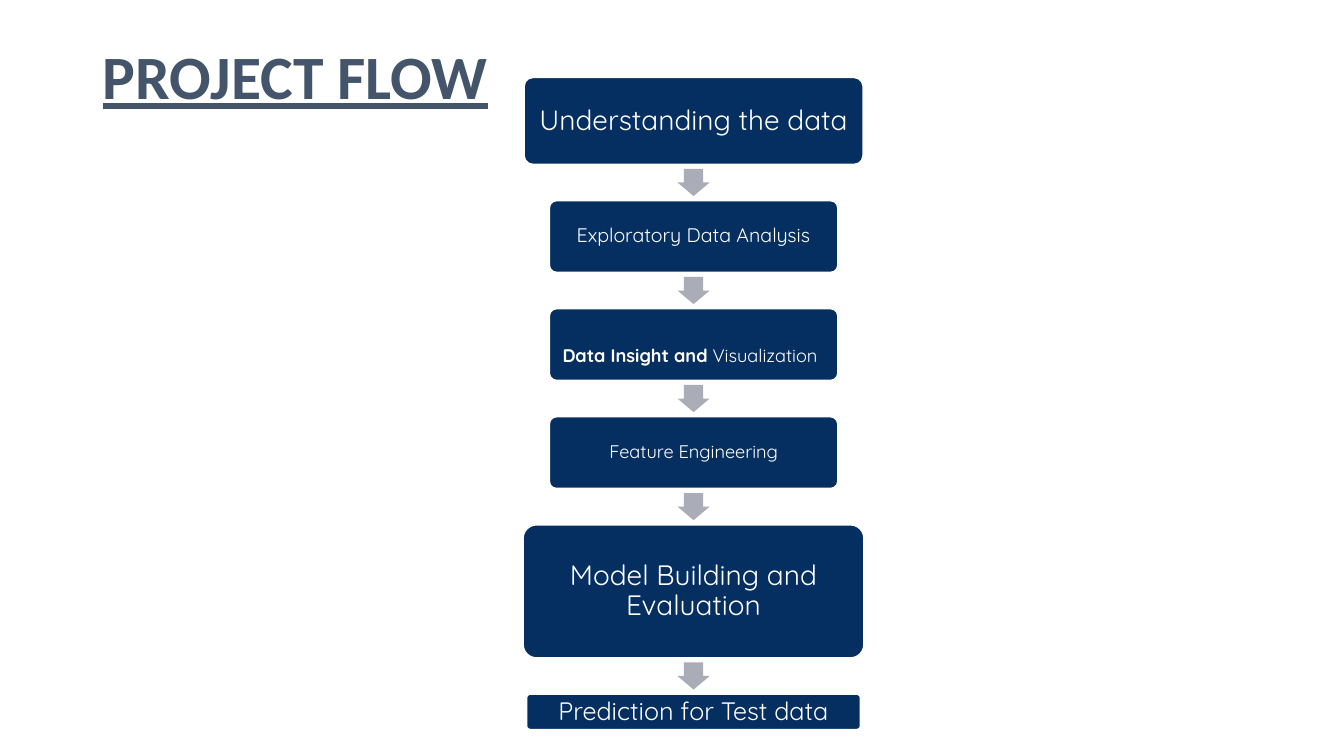
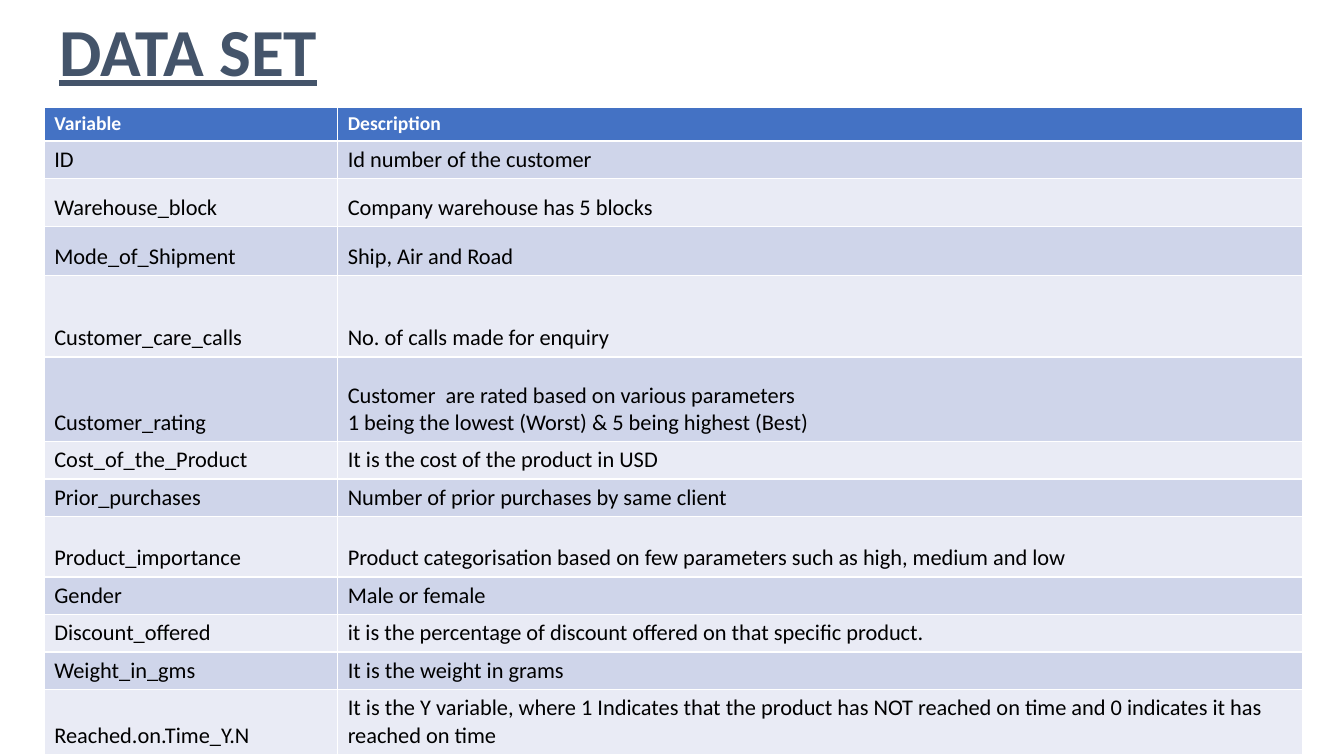
"""Build the project flow and data set slides."""
from pptx import Presentation
from pptx.dml.color import RGBColor
from pptx.enum.shapes import MSO_SHAPE
from pptx.enum.text import MSO_ANCHOR, MSO_AUTO_SIZE, PP_ALIGN
from pptx.util import Inches, Pt

COLUMNS = 48
NAVY, GREY, SLATE, WHITE, BLACK = "052F61", "AAADB7", "44546A", "FFFFFF", "000000"
HEADER, BANDS = "4472C4", ("E9EBF5", "CFD5EA")
BODY_FONT, FLOW_FONT = "Calibri", "Quicksand"

FLOW_CENTER, FLOW_TOP, FLOW_GAP = 24.77, 2.77, 1.3
STEPS = [
    (12.1, 3.1, 20, "Understanding the data"),
    (10.3, 2.56, 14, "Exploratory Data Analysis"),
    (10.3, 2.56, 13, "Data Insight and Visualization"),
    (10.3, 2.56, 13, "Feature Engineering"),
    (12.17, 4.75, 20, "Model Building and Evaluation"),
    (11.92, 1.26, 18, "Prediction for Test data"),
]

VARIABLES = [
    (1.15, "Variable", "Description"),
    (1.26, "ID", "Id number of the customer"),
    (1.73, "Warehouse_block", "Company warehouse has 5 blocks"),
    (1.73, "Mode_of_Shipment", "Ship, Air and Road"),
    (2.92, "Customer_care_calls", "No. of calls made for enquiry"),
    (3.02, "Customer_rating",
     "Customer  are rated based on various parameters\n"
     "1 being the lowest (Worst) & 5 being highest (Best)"),
    (1.26, "Cost_of_the_Product", "It is the cost of the product in USD"),
    (1.22, "Prior_purchases", "Number of prior purchases by same client"),
    (2.16, "Product_importance",
     "Product categorisation based on few parameters such as high, medium and low"),
    (1.26, "Gender", "Male or female"),
    (1.26, "Discount_offered",
     "it is the percentage of discount offered on that specific product."),
    (1.22, "Weight_in_gms", "It is the weight in grams"),
    (2.16, "Reached.on.Time_Y.N",
     "It is the Y variable, where 1 Indicates that the product has NOT reached "
     "on time and 0 indicates it has reached on time"),
]


def rgb(value):
    """Turn a hex string into a colour."""
    return RGBColor.from_string(value)


class Deck:
    """Hold the shared style and the current slide."""

    def __init__(self):
        """Start a widescreen presentation."""
        self.prs = Presentation()
        self.prs.slide_width, self.prs.slide_height = Inches(13.33), Inches(7.5)
        self.s = None

    def grid(self, *cells):
        """Convert grid units to lengths."""
        return [round(c * self.prs.slide_width / COLUMNS) for c in cells]

    def style(self, tf, font, size, color, bold=False, underline=False):
        """Format every run of a text frame."""
        for p in tf.paragraphs:
            for r in p.runs:
                f = r.font
                f.name, f.size, f.color.rgb = font, Pt(size), rgb(color)
                f.bold, f.underline = bold, underline

    def slide(self, title, x, y, size):
        """Add a slide with an underlined title."""
        self.s = self.prs.slides.add_slide(self.prs.slide_layouts[5])
        sp = self.s.shapes.title
        sp.left, sp.top, sp.width, sp.height = self.grid(x, y, 41.4, 5.22)
        tf = sp.text_frame
        tf.text = title
        tf.auto_size, tf.vertical_anchor = MSO_AUTO_SIZE.NONE, MSO_ANCHOR.MIDDLE
        tf.margin_bottom = Inches(0.05) + Pt(size * 1.1)
        p = tf.paragraphs[0]
        p.alignment, p.line_spacing = PP_ALIGN.LEFT, 0.9
        self.style(tf, BODY_FONT, size, SLATE, bold=True, underline=True)

    def shape(self, kind, center, y, w, h, fill, adjust):
        """Add a plain shape centred on a column."""
        sp = self.s.shapes.add_shape(kind, *self.grid(center - w / 2, y, w, h))
        sp.shadow.inherit = False
        sp.fill.solid()
        sp.fill.fore_color.rgb = rgb(fill)
        sp.line.fill.background()
        sp.adjustments[0] = adjust
        return sp

    def box(self, y, w, h, text, size):
        """Add a rounded step box and return its text frame."""
        sp = self.shape(MSO_SHAPE.ROUNDED_RECTANGLE, FLOW_CENTER, y, w, h, NAVY, 0.1)
        sp.line.color.rgb, sp.line.width = rgb(WHITE), Pt(1)
        tf = sp.text_frame
        tf.text, tf.word_wrap, tf.vertical_anchor = text, True, MSO_ANCHOR.MIDDLE
        tf.margin_left = tf.margin_right = tf.margin_top = tf.margin_bottom = Inches(0.08)
        p = tf.paragraphs[0]
        p.alignment, p.line_spacing = PP_ALIGN.CENTER, 0.9
        self.style(tf, FLOW_FONT, size, WHITE)
        return tf

    def arrow(self, y):
        """Add a down arrow in the middle of the gap below y."""
        w, h = 1.15, 0.97
        self.shape(MSO_SHAPE.DOWN_ARROW, FLOW_CENTER, y + (FLOW_GAP - h) / 2, w, h, GREY, 0.6)

    def table(self, x, y, widths, rows):
        """Add a banded table from rows of height and texts."""
        heights = [row[0] for row in rows]
        box = self.grid(x, y, sum(widths), sum(heights))
        table = self.s.shapes.add_table(len(rows), len(widths), *box).table
        for column, width in zip(table.columns, self.grid(*widths)):
            column.width = width
        for i, (height, *texts) in enumerate(rows):
            table.rows[i].height = self.grid(height)[0]
            for j, text in enumerate(texts):
                cell = table.cell(i, j)
                cell.text_frame.text = text
                cell.vertical_anchor = MSO_ANCHOR.BOTTOM
                cell.fill.solid()
                cell.fill.fore_color.rgb = rgb(BANDS[i % 2] if i else HEADER)
                size, color = (16, BLACK) if i else (14, WHITE)
                self.style(cell.text_frame, BODY_FONT, size, color, bold=not i)


def project_flow(deck):
    """Draw the chain of project steps."""
    deck.slide("PROJECT FLOW", 3.31, 1.44, 44)
    y = FLOW_TOP
    frames = []
    for i, (w, h, size, text) in enumerate(STEPS):
        if i:
            deck.arrow(y)
            y += FLOW_GAP
        frames.append(deck.box(y, w, h, text, size))
        y += h
    insight = frames[2]
    insight.margin_left = Inches(0.11)
    p = insight.paragraphs[0]
    p.alignment, p.line_spacing = PP_ALIGN.LEFT, 2.0
    p.runs[0].text = "Data Insight and "
    p.add_run().text = "Visualization"
    deck.style(insight, FLOW_FONT, STEPS[2][2], WHITE)
    p.runs[0].font.bold = True


def data_set(deck):
    """Draw the table of variables."""
    deck.slide("DATA SET", 1.76, 0.65, 48)
    deck.table(1.58, 3.82, (10.48, 34.45), VARIABLES)


def main():
    """Build and save the deck."""
    deck = Deck()
    project_flow(deck)
    data_set(deck)
    deck.prs.save("out.pptx")


if __name__ == "__main__":
    main()
